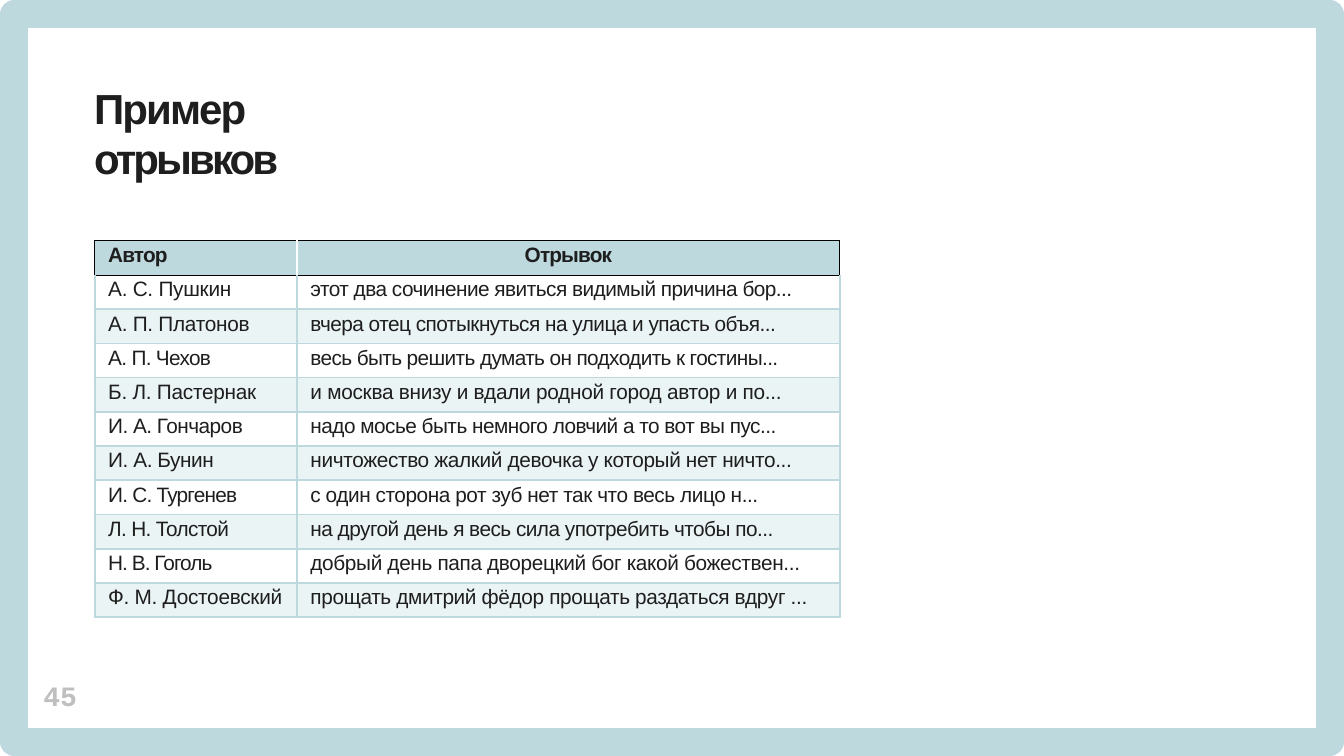
from pptx import Presentation
from pptx.dml.color import RGBColor
from pptx.enum.shapes import MSO_SHAPE
from pptx.enum.text import MSO_ANCHOR, MSO_AUTO_SIZE, PP_ALIGN
from pptx.oxml.xmlchemy import OxmlElement
from pptx.util import Inches, Pt

RECTANGLE = MSO_SHAPE.RECTANGLE
TOP = MSO_ANCHOR.TOP
NO_FIT = MSO_AUTO_SIZE.NONE
LEFT, CENTER = PP_ALIGN.LEFT, PP_ALIGN.CENTER

# Content: each excerpt row is author, author tracking, excerpt, excerpt tracking
TITLE = [("Пример ", -2.2), ("отрывков", -3.4)]
PAGE_NUMBER = "45"
HEADER = ("Автор", "Отрывок")
EXCERPTS = [
    ("А. С. Пушкин", -0.3, "этот два сочинение явиться видимый причина бор...", -0.6),
    ("А. П. Платонов", -0.3, "вчера отец спотыкнуться на улица и упасть объя...", -0.6),
    ("А. П. Чехов", -0.8, "весь быть решить думать он подходить к гостины...", -0.7),
    ("Б. Л. Пастернак", -0.3, "и москва внизу и вдали родной город автор и по...", -0.3),
    ("И. А. Гончаров", -0.6, "надо мосье быть немного ловчий а то вот вы пус...", -0.6),
    ("И. А. Бунин", -0.5, "ничтожество жалкий девочка у который нет ничто...", -0.4),
    ("И. С. Тургенев", -0.9, "с один сторона рот зуб нет так что весь лицо н...", -0.5),
    ("Л. Н. Толстой", -0.8, "на другой день я весь сила употребить чтобы по...", -0.6),
    ("Н. В. Гоголь", -1.1, "добрый день папа дворецкий бог какой божествен...", -0.4),
    ("Ф. М. Достоевский", -0.3, "прощать дмитрий фёдор прощать раздаться вдруг ...", -0.4),
]

THEME = {
    "ink": "1E1E1E", "accent": "BDD9DE", "band": "EBF4F5", "white": "FFFFFF",
    "black": "000000", "muted": "BFBFBF",
    "font": "Arial", "number_font": "Courier New",
    "title": 49.5, "cell": 24.5, "number": 33,
    "rule": 2.21, "thin_rule": 1, "frame": 32.97,
}

PAGE_WIDTH, PAGE_HEIGHT = 21.99, 12.37
FRAME_INSET = 0.23
COLUMNS = (3.31, 8.88)
ROW_HEIGHT = 0.56


def color(name):
    return RGBColor.from_string(THEME[name])


def add_text(para, text, size="cell", ink="ink", font="font", bold=False, tracking=0):
    span = para.add_run()
    span.text = text
    span.font.name = THEME[font]
    span.font.size = Pt(THEME[size])
    span.font.bold = bold
    span.font.color.rgb = color(ink)
    span.font._element.set("spc", str(round(tracking * 100)))


def prepare_frame(frame, right=0):
    frame.word_wrap = True
    frame.auto_size = NO_FIT
    frame.vertical_anchor = TOP
    frame.margin_left = frame.margin_top = frame.margin_bottom = 0
    frame.margin_right = Inches(right)
    return frame.paragraphs[0]


def set_border(cell, side, name, width="rule"):
    line = OxmlElement(f"a:ln{side}")
    line.set("w", str(Pt(THEME[width])))
    fill = OxmlElement("a:solidFill")
    value = OxmlElement("a:srgbClr")
    value.set("val", THEME[name])
    fill.append(value)
    line.append(fill)
    cell._tc.get_or_add_tcPr().append(line)


def fill_cell(cell, text, borders, fill, align=LEFT, **style):
    for side in "LRTB":
        name = borders[side]
        set_border(cell, side, name, "thin_rule" if name == "black" else "rule")
    cell.fill.solid()
    cell.fill.fore_color.rgb = color(fill)
    cell.vertical_anchor = TOP
    cell.margin_left = Inches(0.22 if align == LEFT else 0)
    cell.margin_right = cell.margin_bottom = 0
    cell.margin_top = Inches(0.05)
    para = cell.text_frame.paragraphs[0]
    para.alignment = align
    add_text(para, text, **style)


def main():
    deck = Presentation()
    deck.slide_width, deck.slide_height = Inches(PAGE_WIDTH), Inches(PAGE_HEIGHT)
    page = deck.slides.add_slide(deck.slide_layouts[5])

    # Page frame
    frame = page.shapes.add_shape(
        RECTANGLE, Inches(FRAME_INSET), Inches(FRAME_INSET),
        Inches(PAGE_WIDTH - 2 * FRAME_INSET), Inches(PAGE_HEIGHT - 2 * FRAME_INSET))
    frame.shadow.inherit = False
    frame.fill.background()
    frame.line.color.rgb = color("accent")
    frame.line.width = Pt(THEME["frame"])
    frame.line._get_or_add_ln().append(OxmlElement("a:round"))

    # Title
    title = page.shapes.title
    title.left, title.top = Inches(1.54), Inches(1.35)
    title.width, title.height = Inches(5.67), Inches(2.08)
    para = prepare_frame(title.text_frame, right=0.4)
    para.alignment = LEFT
    for text, tracking in TITLE:
        add_text(para, text, size="title", bold=True, tracking=tracking)

    # Page number
    box = page.shapes.add_textbox(Inches(0.71), Inches(11.14), Inches(0.61), Inches(0.6))
    para = prepare_frame(box.text_frame)
    para.line_spacing = Pt(37.3)
    add_text(para, PAGE_NUMBER, size="number", ink="muted", font="number_font", bold=True)

    # Table of excerpts
    row_count = len(EXCERPTS) + 1
    table = page.shapes.add_table(
        row_count, len(COLUMNS), Inches(1.55), Inches(3.94),
        Inches(sum(COLUMNS)), Inches(ROW_HEIGHT * row_count)).table
    table.first_row = table.horz_banding = False
    for column, width in zip(table.columns, COLUMNS):
        column.width = Inches(width)
    for row in table.rows:
        row.height = Inches(ROW_HEIGHT)

    header_borders = dict.fromkeys("LRTB", "black")
    for index, (text, inner, align) in enumerate(zip(HEADER, "RL", (LEFT, CENTER))):
        fill_cell(table.cell(0, index), text, {**header_borders, inner: "white"},
                  "accent", align=align, bold=True, tracking=-1)

    body_borders = dict.fromkeys("LRTB", "accent")
    for number, (author, author_tracking, excerpt, excerpt_tracking) in enumerate(EXCERPTS, 1):
        borders = {**body_borders, "T": "black"} if number == 1 else body_borders
        fill = "white" if number % 2 else "band"
        fill_cell(table.cell(number, 0), author, borders, fill, tracking=author_tracking)
        fill_cell(table.cell(number, 1), excerpt, borders, fill, tracking=excerpt_tracking)

    deck.save("out.pptx")


if __name__ == "__main__":
    main()
